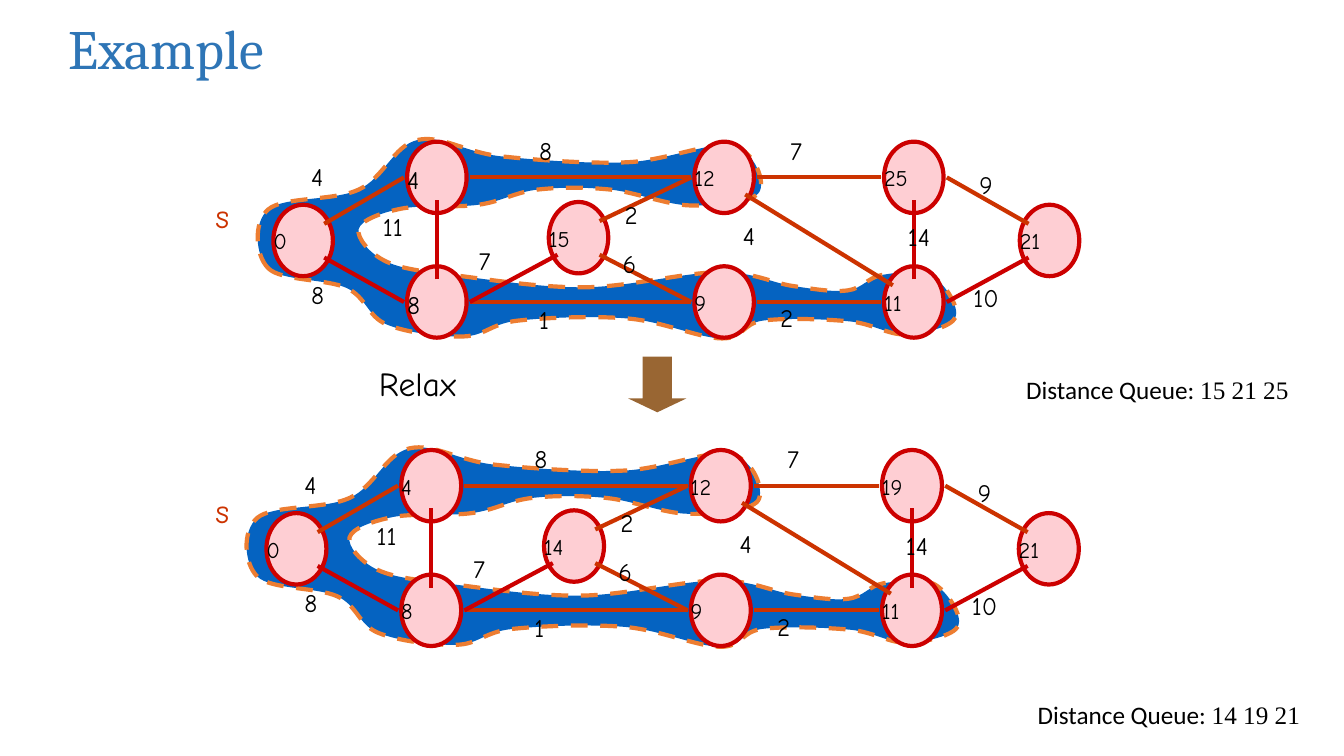
from lxml.etree import SubElement
from pptx import Presentation
from pptx.dml.color import RGBColor
from pptx.enum.dml import MSO_LINE
from pptx.enum.shapes import MSO_CONNECTOR, MSO_SHAPE
from pptx.enum.text import MSO_ANCHOR, MSO_AUTO_SIZE, PP_ALIGN
from pptx.oxml.ns import qn
from pptx.util import Cm, Pt

COLOURS = {
    "title": "2E75B6", "text": "000000", "region": "0563C1", "outline": "ED7D31",
    "node": "FECED3", "red": "CC0000", "rust": "CC3300", "arrow": "996633",
}
NODE_WIDTH, NODE_HEIGHT = 1.5, 1.8
NODES = {
    "start": (6.89, 5.16), "upper left": (10.26, 3.57), "lower left": (10.26, 6.71),
    "centre": (13.83, 5.09), "upper middle": (17.5, 3.57), "lower middle": (17.5, 6.71),
    "upper right": (22.28, 3.57), "lower right": (22.28, 6.71), "end": (25.7, 5.16),
}
PORTS = {
    "n": (0.75, 0.33), "s": (0.75, 1.47), "w": (-0.08, 0.9), "e": (1.58, 0.9),
    "nw": (0.22, 0.48), "ne": (1.28, 0.48), "sw": (0.22, 1.33), "se": (1.28, 1.33),
}
EDGES = [
    ("start", "ne", "upper left", "w", "rust", "4", (7.59, 3.94)),
    ("lower left", "w", "start", "se", "red", "8", (7.59, 6.91)),
    ("lower left", "n", "upper left", "s", "red", "11", (9.4, 5.21)),
    ("upper middle", "w", "upper left", "e", "rust", "8", (13.34, 3.28)),
    ("upper middle", "e", "upper right", "w", "rust", "7", (19.66, 3.28)),
    ("end", "nw", "upper right", "e", "rust", "9", (24.43, 4.14)),
    ("lower right", "e", "end", "sw", "red", "10", (24.28, 6.98)),
    ("lower right", "n", "upper right", "s", "red", "14", (22.63, 5.46)),
    ("lower right", "nw", "upper middle", "se", "rust", "4", (18.47, 5.42)),
    ("lower middle", "e", "lower right", "w", "rust", "2", (19.41, 7.5)),
    ("lower middle", "w", "lower left", "e", "rust", "1", (13.34, 7.54)),
    ("centre", "ne", "upper middle", "w", "rust", "2", (15.49, 4.9)),
    ("centre", "se", "lower middle", "w", "rust", "6", (15.44, 6.13)),
    ("lower left", "e", "centre", "sw", "red", "7", (11.81, 6.05)),
]
REGION = [
    (6.76, 6.76), (6.76, 5.28), (9.04, 4.78), (10.52, 3.53), (12.62, 3.94), (15.82, 4.09),
    (18.47, 3.68), (19.13, 4.85), (17.42, 5.18), (15.39, 4.78), (13.54, 4.78), (12.07, 5.16),
    (10.11, 5.26), (9.04, 5.77), (9.75, 6.6), (11.63, 6.96), (14.78, 7.24), (18.14, 6.86),
    (19.99, 7.21), (21.36, 7.32), (22.23, 6.93), (23.5, 6.96), (24.08, 8), (22.83, 8.43),
    (21.41, 8.1), (19.23, 8.08), (18.19, 8.53), (15.85, 8.03), (13.06, 8.08), (11.68, 8.48),
    (9.75, 8.18), (8.74, 7.26),
]


def curve_points(knots):
    """Return the first knot, then two handles and a knot for each smooth closed segment."""
    count = len(knots)
    points = [knots[0]]
    for index in range(count):
        before, start, end, after = (knots[(index + step) % count] for step in (-1, 0, 1, 2))
        points.append(tuple(s + (e - b) / 6 for b, s, e in zip(before, start, end)))
        points.append(tuple(e - (a - s) / 6 for s, e, a in zip(start, end, after)))
        points.append(end)
    return points


class GraphSlide:
    """Hold the style and the current slide, and draw its elements."""

    def __init__(self, page, font="Comic Neue", line_width=3):
        self.page = page
        self.font = font
        self.line_width = Pt(line_width)

    def colour(self, name):
        return RGBColor.from_string(COLOURS[name])

    def style_span(self, span, size, colour="text", font=None):
        span.font.name = font or self.font
        span.font.size = Pt(size)
        span.font.color.rgb = self.colour(colour)

    def style_shape(self, shape, fill, outline=None):
        shape.shadow.inherit = False
        shape.fill.solid()
        shape.fill.fore_color.rgb = self.colour(fill)
        if outline:
            shape.line.color.rgb = self.colour(outline)
            shape.line.width = self.line_width
        else:
            shape.line.fill.background()

    def title(self, text):
        title = self.page.shapes.title
        title.left, title.top, title.width, title.height = Cm(1.47), Cm(0.18), Cm(24.13), Cm(2.01)
        frame = title.text_frame
        frame.text = text
        frame.auto_size = MSO_AUTO_SIZE.NONE
        frame.vertical_anchor = MSO_ANCHOR.MIDDLE
        para = frame.paragraphs[0]
        para.alignment = PP_ALIGN.LEFT
        self.style_span(para.runs[0], 39.6, "title", "Cambria")

    def label(self, text, x, y, size=18, colour="text", width=2.12, height=1.02):
        box = self.page.shapes.add_textbox(Cm(x), Cm(y), Cm(width), Cm(height))
        box.text_frame.word_wrap = True
        box.text_frame.text = text
        self.style_span(box.text_frame.paragraphs[0].runs[0], size, colour)

    def queue(self, values, x, y):
        box = self.page.shapes.add_textbox(Cm(x), Cm(y), Cm(7.2), Cm(1.02))
        box.text_frame.word_wrap = False
        para = box.text_frame.paragraphs[0]
        for text, font in (("Distance Queue: ", "Calibri"), (values, "Times New Roman")):
            span = para.add_run()
            span.text = text
            self.style_span(span, 18, font=font)

    def down_arrow(self, x, y, width, height):
        arrow = self.page.shapes.add_shape(
            MSO_SHAPE.DOWN_ARROW, Cm(x), Cm(y), Cm(width), Cm(height))
        arrow.adjustments[0], arrow.adjustments[1] = 0.5, 0.25
        self.style_shape(arrow, "arrow")

    def node(self, x, y, width):
        ellipse = self.page.shapes.add_shape(
            MSO_SHAPE.OVAL, Cm(x), Cm(y), Cm(width), Cm(NODE_HEIGHT))
        self.style_shape(ellipse, "node", "red")

    def edge(self, start, end, colour):
        line = self.page.shapes.add_connector(
            MSO_CONNECTOR.STRAIGHT, *(Cm(value) for value in (*start, *end)))
        line.line.color.rgb = self.colour(colour)
        line.line.width = self.line_width
        SubElement(line._element.spPr, qn("a:effectLst"))

    def region(self, scale, shift, drop):
        points = [(Cm(x * scale + shift), Cm(y + drop)) for x, y in curve_points(REGION)]
        builder = self.page.shapes.build_freeform(*points[0], scale=1.0)
        builder.add_line_segments(points[1:], close=True)
        outline = builder.convert_to_shape()
        segments = list(outline._element.iter(qn("a:lnTo")))
        for first, second, third in zip(segments[::3], segments[1::3], segments[2::3]):
            first.tag = qn("a:cubicBezTo")
            for segment in (second, third):
                first.append(segment[0])
                segment.getparent().remove(segment)
        self.style_shape(outline, "region", "outline")
        outline.line.dash_style = MSO_LINE.DASH

    def graph(self, distances, left_size, scale=1.0, shift=0.0, drop=0.0):
        def place(point, offset=(0, 0)):
            return (point[0] + offset[0]) * scale + shift, point[1] + offset[1] + drop

        for point in NODES.values():
            self.node(*place(point), NODE_WIDTH * scale)
        for start, exit_port, end, entry_port, colour, weight, spot in EDGES:
            self.edge(place(NODES[start], PORTS[exit_port]),
                      place(NODES[end], PORTS[entry_port]), colour)
            self.label(weight, *place(spot))
        for (name, point), distance in zip(NODES.items(), distances):
            size = left_size if name.endswith(" left") else 16
            self.label(distance, *place(point, (-0.25, 0.45)), size, height=0.94)


def main():
    deck = Presentation()
    deck.slide_width, deck.slide_height = Cm(33.87), Cm(19.05)
    slide = GraphSlide(deck.slides.add_slide(deck.slide_layouts[5]))
    slide.title("Example")

    slide.region(1.0, 0, 0)
    slide.graph(("0", "4", "8", "15", "12", "9", "25", "11", "21"), 18)
    slide.label("s", 5.18, 4.78, 24, "rust", height=1.27)

    slide.region(1.02, -0.41, 7.77)
    slide.graph(("0", "4", "8", "14", "12", "9", "19", "11", "21"), 16, 1.008, -0.23, 7.77)
    slide.label("s", 5.18, 12.23, 24, "rust", height=1.27)

    slide.down_arrow(15.83, 8.99, 1.47, 1.4)
    slide.label("Relax", 9.3, 9.02, 24, width=6.1, height=1.27)
    slide.queue("14 19 21", 25.9, 17.5)
    slide.queue("15 21 25", 25.61, 9.3)
    deck.save("out.pptx")


if __name__ == "__main__":
    main()
